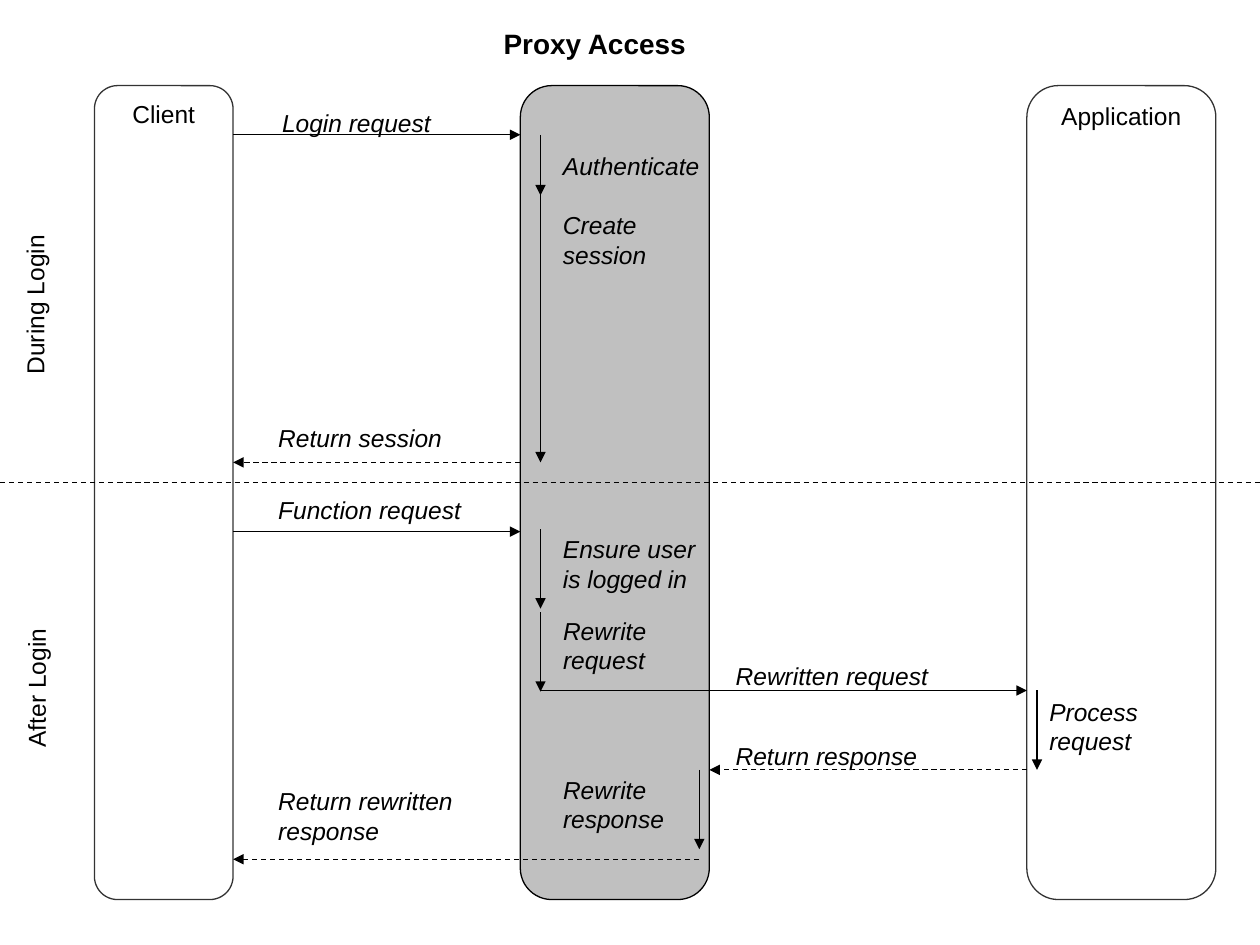
"""Build the Proxy Access sequence diagram slide."""
from dataclasses import dataclass

from lxml import etree
from pptx import Presentation
from pptx import util as u
from pptx.dml.color import RGBColor
from pptx.enum import dml, shapes, text
from pptx.oxml.ns import qn


@dataclass(frozen=True)
class Theme:
    font: str = "Arial"
    ink: RGBColor = RGBColor(0x00, 0x00, 0x00)
    border: RGBColor = RGBColor(0x33, 0x33, 0x33)
    white: RGBColor = RGBColor(0xFF, 0xFF, 0xFF)
    gray: RGBColor = RGBColor(0xC0, 0xC0, 0xC0)
    title_size: u.Pt = u.Pt(16)
    body_size: u.Pt = u.Pt(14)
    stroke: u.Pt = u.Pt(0.75)


@dataclass(frozen=True)
class Lane:
    name: str
    left: float
    right: float
    fill: RGBColor
    border: RGBColor


@dataclass(frozen=True)
class Arrow:
    x1: float
    y1: float
    x2: float
    y2: float
    dashed: bool = False
    head: bool = True


@dataclass(frozen=True)
class Label:
    words: str
    left: float
    top: float
    width: float
    lines: int = 1
    italic: bool = True
    bold: bool = False
    wrap: bool = False
    rotation: int = 0


THEME = Theme()
LANE_TOP, LANE_HEIGHT = 0.68, 6.46
LINE_HEIGHT, LABEL_PADDING = 0.24, 0.1
CLIENT = Lane("Client", 0.75, 1.85, THEME.white, THEME.border)
PROXY = Lane("", 4.13, 5.63, THEME.gray, THEME.ink)
APPLICATION = Lane("Application", 8.15, 9.65, THEME.white, THEME.border)
STEP_X, REPLY_X, PROCESS_X = PROXY.left + 0.16, PROXY.right - 0.08, APPLICATION.left + 0.08
CLIENT_NOTE, PROXY_NOTE, APPLICATION_NOTE = 2.11, 4.37, 5.74

ARROWS = (
    Arrow(CLIENT.right, 1.07, PROXY.left, 1.07),
    Arrow(STEP_X, 1.07, STEP_X, 1.55),
    Arrow(STEP_X, 1.47, STEP_X, 3.67),
    Arrow(PROXY.left, 3.67, CLIENT.right, 3.67, dashed=True),
    Arrow(0, 3.83, 10, 3.83, dashed=True, head=False),
    Arrow(CLIENT.right, 4.22, PROXY.left, 4.22),
    Arrow(STEP_X, 4.2, STEP_X, 4.83),
    Arrow(STEP_X, 4.86, STEP_X, 5.49),
    Arrow(STEP_X, 5.48, APPLICATION.left, 5.48),
    Arrow(PROCESS_X, 5.48, PROCESS_X, 6.11),
    Arrow(APPLICATION.left, 6.11, PROXY.right, 6.11, dashed=True),
    Arrow(REPLY_X, 6.11, REPLY_X, 6.74),
    Arrow(REPLY_X, 6.82, CLIENT.right, 6.82, dashed=True),
)

LABELS = (
    Label("Login request", 2.14, 0.81, 1.4),
    Label("Authenticate", PROXY_NOTE, 1.15, 1.57, wrap=True),
    Label("Create\vsession", PROXY_NOTE, 1.62, 1.57, 2, wrap=True),
    Label("Return session", CLIENT_NOTE, 3.31, 1.52),
    Label("Function request", CLIENT_NOTE, 3.88, 1.67),
    Label("Ensure user\nis logged in", PROXY_NOTE, 4.19, 1.27, 2),
    Label("Rewrite\nrequest", PROXY_NOTE, 4.84, 0.88, 2),
    Label("Rewritten request", APPLICATION_NOTE, 5.2, 1.75),
    Label("Process request", PROCESS_X, 5.48, 1.36, 2, wrap=True),
    Label("Return response", APPLICATION_NOTE, 5.83, 1.66),
    Label("Rewrite\nresponse", PROXY_NOTE, 6.1, 1.02, 2),
    Label("Return rewritten\nresponse", CLIENT_NOTE, 6.19, 1.7, 2, wrap=True),
    Label("During Login", -0.42, 2.2, 1.4, italic=False, wrap=True, rotation=270),
    Label("After Login", -0.32, 5.25, 1.22, italic=False, wrap=True, rotation=270),
)
TITLE = Label("Proxy Access", 3.52, 0.16, 2.4, italic=False, bold=True)


def style_text(frame, size: u.Pt, align, italic: bool = False, bold: bool = False) -> None:
    """Format every run of a text frame."""
    for paragraph in frame.paragraphs:
        paragraph.alignment = align
        for run in paragraph.runs:
            run.font.name, run.font.size = THEME.font, size
            run.font.italic, run.font.bold = italic, bold
            run.font.color.rgb = THEME.ink


def draw_lane(slide, lane: Lane) -> None:
    """Draw one participant as a tall rounded column."""
    column = slide.shapes.add_shape(
        shapes.MSO_SHAPE.ROUNDED_RECTANGLE, u.Inches(lane.left), u.Inches(LANE_TOP),
        u.Inches(lane.right - lane.left), u.Inches(LANE_HEIGHT))
    column.adjustments[0] = 1 / 6
    column.shadow.inherit = False
    column.fill.solid()
    column.fill.fore_color.rgb = lane.fill
    column.line.color.rgb = lane.border
    column.line.width = THEME.stroke
    if lane.name:
        frame = column.text_frame
        frame.text = lane.name
        frame.word_wrap = False
        frame.vertical_anchor = text.MSO_ANCHOR.TOP
        style_text(frame, THEME.body_size, text.PP_ALIGN.CENTER)


def draw_arrow(slide, arrow: Arrow) -> None:
    """Draw a straight line, dashed or headed as described."""
    connector = slide.shapes.add_connector(
        shapes.MSO_CONNECTOR.STRAIGHT, u.Inches(arrow.x1), u.Inches(arrow.y1),
        u.Inches(arrow.x2), u.Inches(arrow.y2))
    connector.line.color.rgb = THEME.ink
    connector.line.width = THEME.stroke
    if arrow.dashed:
        connector.line.dash_style = dml.MSO_LINE.DASH
    if arrow.head:
        etree.SubElement(connector.line._get_or_add_ln(), qn("a:tailEnd"), type="triangle")
    etree.SubElement(connector._element.spPr, qn("a:effectLst"))


def draw_label(slide, label: Label, size: u.Pt = THEME.body_size,
               align=text.PP_ALIGN.LEFT) -> None:
    """Draw a text label that fits its lines."""
    height = label.lines * LINE_HEIGHT * size / THEME.body_size + LABEL_PADDING
    box = slide.shapes.add_textbox(
        u.Inches(label.left), u.Inches(label.top), u.Inches(label.width), u.Inches(height))
    box.rotation = label.rotation
    frame = box.text_frame
    frame.text = label.words
    frame.word_wrap = label.wrap
    frame.auto_size = text.MSO_AUTO_SIZE.SHAPE_TO_FIT_TEXT
    style_text(frame, size, align, label.italic, label.bold)


def main() -> None:
    """Assemble and save the slide."""
    deck = Presentation()
    deck.slide_width, deck.slide_height = u.Inches(10), u.Inches(7.5)
    slide = deck.slides.add_slide(deck.slide_layouts[6])
    for lane in (PROXY, APPLICATION, CLIENT):
        draw_lane(slide, lane)
    draw_label(slide, TITLE, THEME.title_size, text.PP_ALIGN.CENTER)
    for arrow in ARROWS:
        draw_arrow(slide, arrow)
    for label in LABELS:
        draw_label(slide, label)
    deck.save("out.pptx")


if __name__ == "__main__":
    main()
